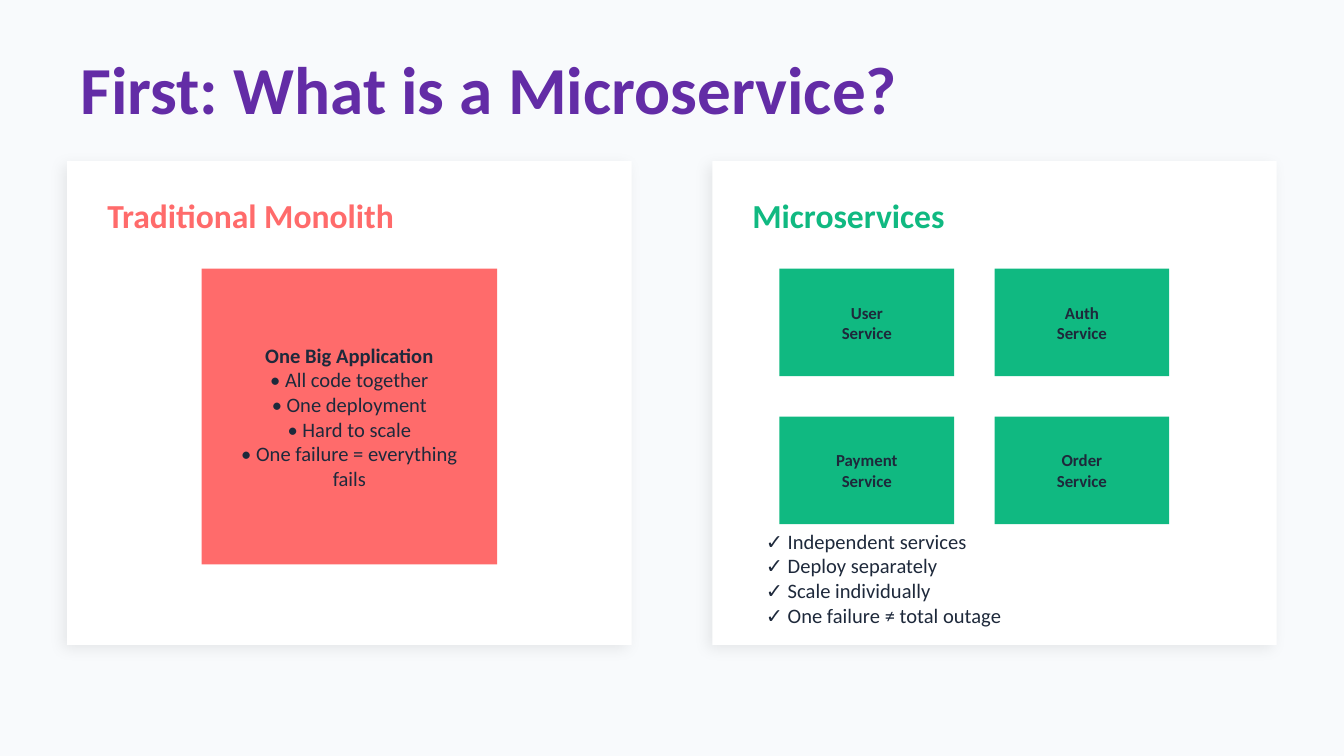
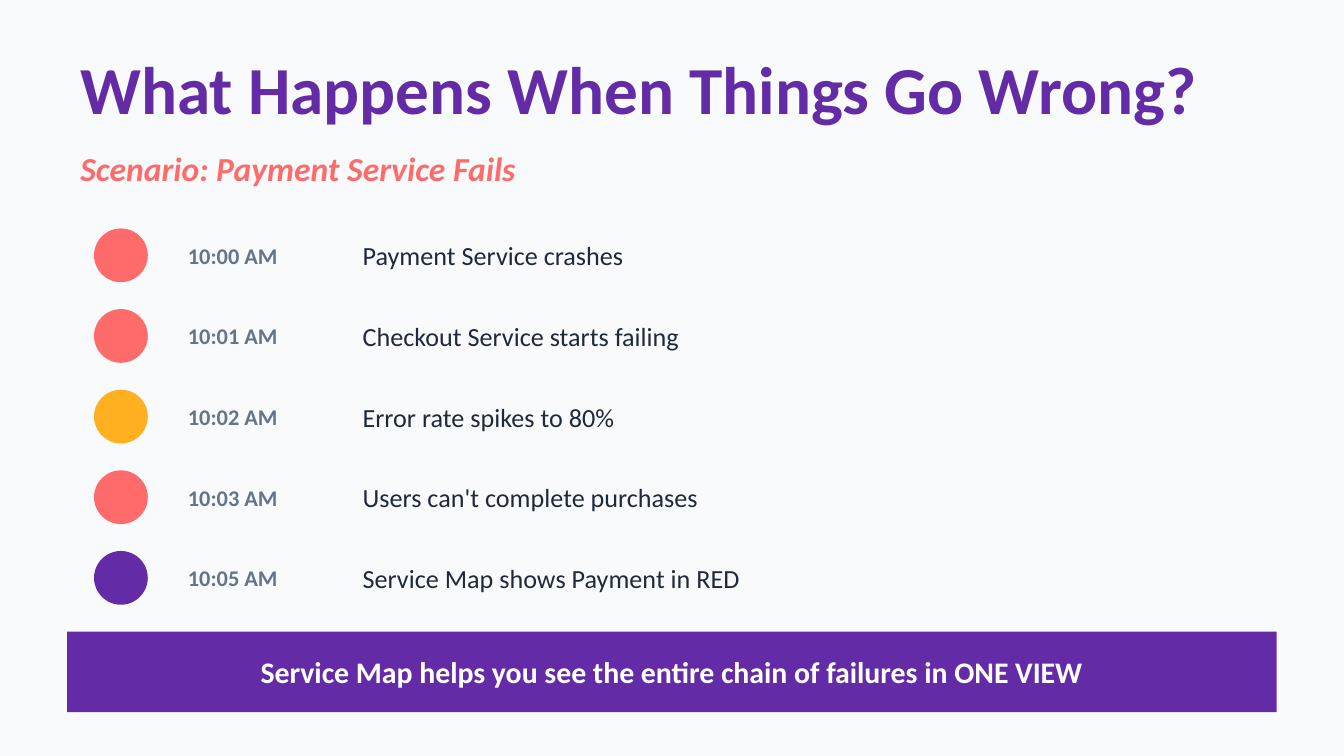
from lxml import etree
from pptx import Presentation
from pptx.dml.color import RGBColor
from pptx.enum.shapes import MSO_SHAPE
from pptx.enum.text import MSO_ANCHOR, PP_ALIGN
from pptx.oxml.ns import qn
from pptx.util import Emu, Pt

RECT, OVAL = MSO_SHAPE.RECTANGLE, MSO_SHAPE.OVAL
MIDDLE = MSO_ANCHOR.MIDDLE
LEFT, CENTER = PP_ALIGN.LEFT, PP_ALIGN.CENTER

BACKGROUND = RGBColor(0xF8, 0xFA, 0xFC)
PURPLE = RGBColor(0x63, 0x2C, 0xA6)
CORAL = RGBColor(0xFF, 0x6B, 0x6B)
GREEN = RGBColor(0x10, 0xB9, 0x81)
AMBER = RGBColor(0xFF, 0xB0, 0x20)
INK = RGBColor(0x1E, 0x29, 0x3B)
SLATE = RGBColor(0x64, 0x74, 0x8B)
WHITE = RGBColor(0xFF, 0xFF, 0xFF)
FONT = "Calibri"

PX = 11430
SLIDE_W, SLIDE_H = 800, 450
MARGIN = 40
CONTENT_W = SLIDE_W - 2 * MARGIN

MICROSERVICE_TITLE = "First: What is a Microservice?"
CARDS = [("Traditional Monolith", CORAL), ("Microservices", GREEN)]
MONOLITH_HEAD = "One Big Application"
MONOLITH_TRAITS = [
    "• All code together",
    "• One deployment",
    "• Hard to scale",
    "• One failure = everything fails",
]
SERVICES = ["User", "Auth", "Payment", "Order"]
BENEFITS = [
    "✓ Independent services",
    "✓ Deploy separately",
    "✓ Scale individually",
    "✓ One failure ≠ total outage",
]

FAILURE_TITLE = "What Happens When Things Go Wrong?"
SCENARIO = "Scenario: Payment Service Fails"
TIMELINE = [
    ("10:00 AM", "Payment Service crashes", CORAL),
    ("10:01 AM", "Checkout Service starts failing", CORAL),
    ("10:02 AM", "Error rate spikes to 80%", AMBER),
    ("10:03 AM", "Users can't complete purchases", CORAL),
    ("10:05 AM", "Service Map shows Payment in RED", PURPLE),
]
TAKEAWAY = "Service Map helps you see the entire chain of failures in ONE VIEW"


def place(*box):
    return [Emu(length * PX) for length in box]


def add_block(slide, kind, box, color):
    block = slide.shapes.add_shape(kind, *place(*box))
    block.shadow.inherit = False
    block.fill.solid()
    block.fill.fore_color.rgb = color
    block.line.fill.background()
    return block


def add_soft_shadow(block):
    effects = block._element.spPr.find(qn("a:effectLst"))
    shadow = etree.SubElement(
        effects, qn("a:outerShdw"), blurRad=str(Pt(8)), dist=str(Pt(3)),
        dir=str(135 * 60000), algn="bl", rotWithShape="0")
    black = etree.SubElement(shadow, qn("a:srgbClr"), val="000000")
    etree.SubElement(black, qn("a:alpha"), val="8000")


def add_text(slide, box, lines, size, color, bold_lines=0, italic=False, align=LEFT):
    frame = slide.shapes.add_textbox(*place(*box)).text_frame
    frame.word_wrap = True
    frame.vertical_anchor = MIDDLE
    for index, line in enumerate(lines):
        paragraph = frame.add_paragraph() if index else frame.paragraphs[0]
        paragraph.alignment = align
        run = paragraph.add_run()
        run.text = line
        run.font.name = FONT
        run.font.size = Pt(size)
        run.font.color.rgb = color
        run.font.bold = index < bold_lines
        run.font.italic = italic


def add_titled_slide(deck, title):
    slide = deck.slides.add_slide(deck.slide_layouts[6])
    slide.background.fill.solid()
    slide.background.fill.fore_color.rgb = BACKGROUND
    add_text(slide, (MARGIN, 32, CONTENT_W, 40), [title], 36, PURPLE, 1)
    return slide


def build_comparison(deck):
    slide = add_titled_slide(deck, MICROSERVICE_TITLE)
    card_w, card_h, card_top, pad = 336, 288, 96, 16
    card_step = CONTENT_W - card_w
    for index, (heading, color) in enumerate(CARDS):
        left = MARGIN + index * card_step
        add_soft_shadow(add_block(slide, RECT, (left, card_top, card_w, card_h), WHITE))
        add_text(slide, (left + pad, card_top + pad, card_w - 2 * pad, 32),
                 [heading], 18, color, 1)

    diagram_top = 160
    side, inset = 176, 8
    monolith_left = MARGIN + (card_w - side) // 2
    add_block(slide, RECT, (monolith_left, diagram_top, side, side), CORAL)
    add_text(slide, (monolith_left + inset, diagram_top + inset,
                     side - 2 * inset, side - 2 * inset),
             [MONOLITH_HEAD, *MONOLITH_TRAITS], 11, INK, 1, align=CENTER)

    service_w, service_h, gap = 104, 64, 24
    services_left = MARGIN + card_step + 40
    for index, service in enumerate(SERVICES):
        row, column = divmod(index, 2)
        box = (services_left + column * (service_w + gap),
               diagram_top + row * (service_h + gap), service_w, service_h)
        add_block(slide, RECT, box, GREEN)
        add_text(slide, box, [service, "Service"], 9, INK, 2, align=CENTER)
    add_text(slide, (services_left - pad, 320, 288, 48), BENEFITS, 11, INK)


def build_failure(deck):
    slide = add_titled_slide(deck, FAILURE_TITLE)
    add_text(slide, (MARGIN, 88, CONTENT_W, 24), [SCENARIO], 18, CORAL, 1, italic=True)

    first_top, step, dot = 136, 48, 32
    for index, (time, event, color) in enumerate(TIMELINE):
        top = first_top + index * step
        add_block(slide, OVAL, (56, top, dot, dot), color)
        add_text(slide, (104, top + 4, 96, 24), [time], 12, SLATE, 1)
        add_text(slide, (208, top + 4, 544, 24), [event], 14, INK)

    band_top = first_top + len(TIMELINE) * step
    add_block(slide, RECT, (MARGIN, band_top, CONTENT_W, 48), PURPLE)
    add_text(slide, (MARGIN + 16, band_top + 8, CONTENT_W - 32, 32),
             [TAKEAWAY], 16, WHITE, 1, align=CENTER)


def main():
    deck = Presentation()
    deck.slide_width, deck.slide_height = place(SLIDE_W, SLIDE_H)
    build_comparison(deck)
    build_failure(deck)
    deck.save("out.pptx")


if __name__ == "__main__":
    main()
